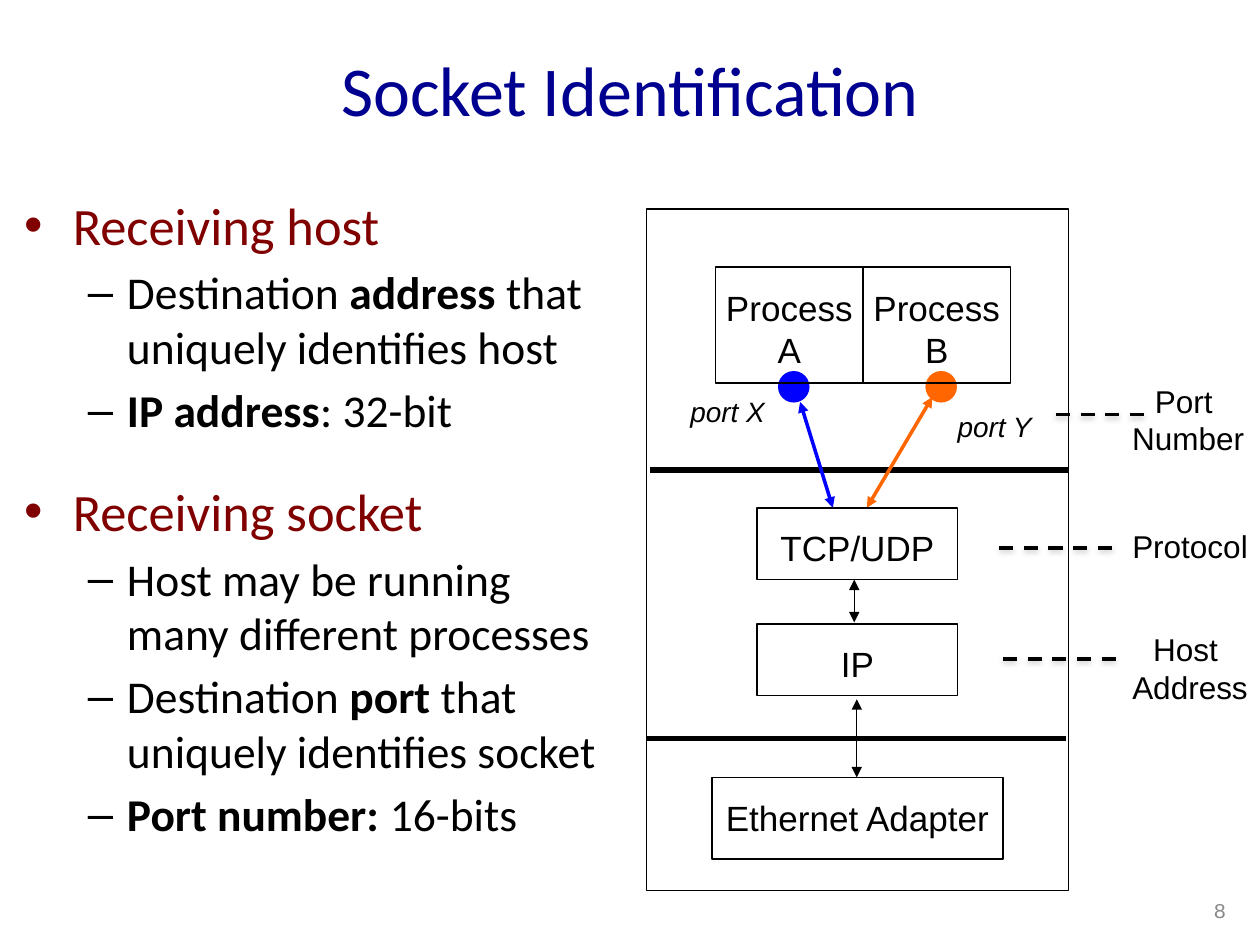
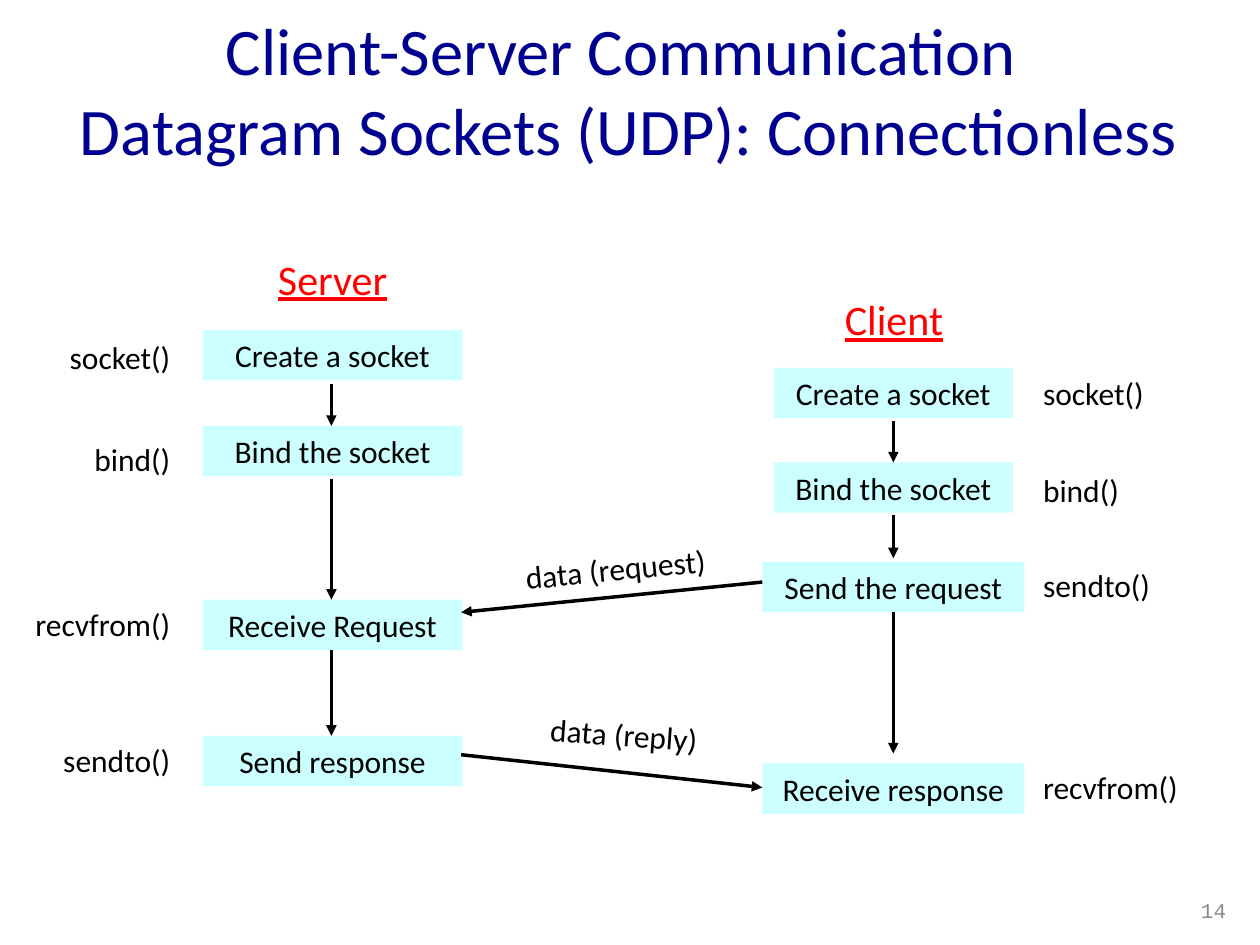
from lxml.etree import SubElement
from pptx import Presentation
from pptx.dml.color import RGBColor
from pptx.enum.dml import MSO_LINE
from pptx.enum.shapes import MSO_CONNECTOR, MSO_SHAPE
from pptx.enum.text import MSO_ANCHOR, PP_ALIGN
from pptx.oxml.ns import qn
from pptx.util import Inches, Pt

HUES = {
    "title": "000090", "topic": "800000", "ink": "000000", "page": "898989",
    "blue": "0000FF", "orange": "FF6600", "step": "CCFFFF", "head": "FF0000",
    "shade": "808080",
}
FACES = {
    "title": {"name": "Calibri", "size": Pt(40)},
    "page": {"name": "Courier New", "size": Pt(12)},
    "topic": {"name": "Calibri", "size": Pt(30)},
    "point": {"name": "Calibri", "size": Pt(26)},
    "layer": {"name": "Arial", "size": Pt(20)},
    "port": {"name": "Arial", "size": Pt(16), "italic": True},
    "side": {"name": "Arial", "size": Pt(18)},
    "head": {"name": "Calibri", "size": Pt(24), "underline": True},
    "step": {"name": "Calibri", "size": Pt(18)},
}
LEFT, MID, RIGHT = PP_ALIGN.LEFT, PP_ALIGN.CENTER, PP_ALIGN.RIGHT
BOX, DOT = MSO_SHAPE.RECTANGLE, MSO_SHAPE.OVAL
BODY = [
    # level, text with *bold* parts, space before, space after
    (0, "Receiving host", 0, 0),
    (1, "Destination *address* that uniquely identifies host", 5, 0),
    (1, "*IP address*: 32-bit", 5, 18),
    (0, "Receiving socket", 6, 0),
    (1, "Host may be running many different processes", 5, 0),
    (1, "Destination *port* that uniquely identifies socket", 5, 0),
    (1, "*Port number: *16-bits", 5, 0),
]


def place(slide, at, text="", face="step", hue="ink", kind=None, fill=None,
          edge=None, width=0.75, align=MID, pad=(0.1, 0.05), wrap=True,
          anchor=MSO_ANCHOR.TOP, size=None):
    """Add a text box, or a preset shape when kind is given."""
    spot = [Inches(v) for v in at]
    if kind is None:
        shape = slide.shapes.add_textbox(*spot)
    else:
        shape = slide.shapes.add_shape(kind, *spot)
        shape.shadow.inherit = False
        if fill:
            shape.fill.solid()
            shape.fill.fore_color.rgb = RGBColor.from_string(HUES[fill])
        else:
            shape.fill.background()
        if edge:
            shape.line.color.rgb = RGBColor.from_string(HUES[edge])
            shape.line.width = Pt(width)
        else:
            shape.line.fill.background()
    frame = shape.text_frame
    look = {
        "word_wrap": wrap, "vertical_anchor": anchor,
        "margin_left": Inches(pad[0]), "margin_right": Inches(pad[0]),
        "margin_top": Inches(pad[1]), "margin_bottom": Inches(pad[1]),
    }
    for key, val in look.items():
        setattr(frame, key, val)
    if text:
        frame.text = text
        for para in frame.paragraphs:
            para.alignment = align
            for run in para.runs:
                for key, val in FACES[face].items():
                    setattr(run.font, key, val)
                if size:
                    run.font.size = Pt(size)
                run.font.color.rgb = RGBColor.from_string(HUES[hue])
    return shape


def link(slide, start, end, hue="ink", width=2.0, ends=("tailEnd",), dash=False):
    """Draw a line; a dashed one carries a soft shadow."""
    line = slide.shapes.add_connector(
        MSO_CONNECTOR.STRAIGHT, *[Inches(v) for v in (*start, *end)])
    line.line.color.rgb = RGBColor.from_string(HUES[hue])
    line.line.width = Pt(width)
    if dash:
        line.line.dash_style = MSO_LINE.DASH
    for end_tag in ends:
        SubElement(line.line._get_or_add_ln(), qn("a:" + end_tag), type="triangle")
    effect = SubElement(line._element.spPr, qn("a:effectLst"))
    if dash:
        shade = SubElement(effect, qn("a:outerShdw"), blurRad=str(Pt(3.1)),
                           dist=str(Pt(1.6)), dir="5400000", rotWithShape="0")
        tint = SubElement(shade, qn("a:srgbClr"), val=HUES["shade"])
        SubElement(tint, qn("a:alpha"), val="38000")


deck = Presentation()
deck.slide_width, deck.slide_height = Inches(10), Inches(7.5)

# Title and page number of each slide
pages = []
for title, left, wide, size, number in [
    ("Socket Identification", 0.5, 9, 40, "8"),
    ("Client-Server Communication \vDatagram Sockets (UDP): Connectionless",
     0.25, 9.48, 38, "14"),
]:
    slide = deck.slides.add_slide(deck.slide_layouts[6])
    place(slide, (left, 0.08, wide, 1.25), title, "title", "title",
          anchor=MSO_ANCHOR.MIDDLE, size=size)
    place(slide, (7.5, 7.02, 2.33, 0.4), number, "page", "page",
          align=RIGHT, anchor=MSO_ANCHOR.MIDDLE)
    pages.append(slide)
ident, comm = pages

# Socket identification: bullets
frame = place(ident, (0.1, 1.48, 4.94, 5.67)).text_frame
for i, (level, text, before, after) in enumerate(BODY):
    para = frame.add_paragraph() if i else frame.paragraphs[0]
    para.level = level
    para.space_before, para.space_after = Pt(before), Pt(after)
    margin, hang, mark = [(0.38, 0.38, "•"), (0.81, 0.31, "–")][level]
    props = para._p.get_or_add_pPr()
    props.set("marL", str(Inches(margin)))
    props.set("indent", str(-Inches(hang)))
    SubElement(props, qn("a:buFont"), typeface="Arial")
    SubElement(props, qn("a:buChar"), char=mark)
    face, hue = [("topic", "topic"), ("point", "ink")][level]
    for j, part in enumerate(text.split("*")):
        if part:
            run = para.add_run()
            run.text = part
            for key, val in {**FACES[face], "bold": j % 2 == 1}.items():
                setattr(run.font, key, val)
            run.font.color.rgb = RGBColor.from_string(HUES[hue])

# Host stack: frame, dividers, ports, layers
place(ident, (5.13, 1.66, 3.35, 5.41), kind=BOX, edge="ink")
for left, right, y in [(5.16, 8.48, 3.73), (5.13, 8.46, 5.86)]:
    link(ident, (left, y), (right, y), width=3, ends=())
both = ("headEnd", "tailEnd")
for hue, left, start, end in [
    ("blue", 6.18, (6.35, 3.19), (6.61, 4.03)),
    ("orange", 7.35, (7.4, 3.15), (6.88, 4.03)),
]:
    place(ident, (left, 2.95, 0.24, 0.24), kind=DOT, fill=hue, edge=hue)
    link(ident, start, end, hue, ends=both)
for text, at in [
    ("Process\nA", (5.68, 2.12, 1.17, 0.92)),
    ("Process\nB", (6.85, 2.12, 1.17, 0.92)),
    ("TCP/UDP", (6.01, 4.03, 1.59, 0.57)),
    ("IP", (6.01, 4.95, 1.59, 0.57)),
    ("Ethernet Adapter", (5.65, 6.17, 2.31, 0.65)),
]:
    place(ident, at, text, "layer", kind=BOX, edge="ink", width=1,
          pad=(0.1, 0.15), wrap=False)
for x, top, base in [(6.78, 4.6, 4.94), (6.8, 5.55, 6.17)]:
    link(ident, (x, top), (x, base), width=0.75, ends=both)
for text, left, top in [("port X", 5.37, 3.07), ("port Y", 7.49, 3.19)]:
    place(ident, (left, top, 0.87, 0.38), text, "port", align=LEFT,
          pad=(0.11, 0.06), wrap=False)
for text, top, wide, high, left, right, y in [
    ("Port \nNumber", 2.98, 1.1, 0.71, 8.38, 9.1, 3.29),
    ("Protocol", 4.13, 1.13, 0.4, 7.93, 8.84, 4.35),
    ("Host \nAddress", 4.95, 1.13, 0.71, 7.96, 8.87, 5.23),
]:
    link(ident, (left, y), (right, y), ends=(), dash=True)
    place(ident, (8.88, top, wide, high), text, "side", wrap=False)

# Datagram exchange: server and client columns
server = [  # step, left, top, width, call, top of call
    ("Create a socket", 1.61, 2.62, 2.06, "socket()", 2.63),
    ("Bind the socket", 1.61, 3.38, 2.06, "bind()", 3.44),
    ("Receive Request", 1.61, 4.76, 2.06, "recvfrom()", 4.75),
    ("Send response", 1.61, 5.84, 2.06, "sendto()", 5.83),
]
client = [
    ("Create a socket", 6.14, 2.92, 1.9, "socket()", 2.92),
    ("Bind the socket", 6.14, 3.67, 1.9, "bind()", 3.69),
    ("Send the request", 6.05, 4.46, 2.08, "sendto()", 4.44),
    ("Receive response", 6.05, 6.06, 2.08, "recvfrom()", 6.05),
]
for head, spot, steps, side, align, x, drops in [
    ("Server", (2.1, 1.96, 1.08, 0.51), server, 0.12, RIGHT, 2.63,
     [(3.05, 3.38), (3.8, 4.76), (5.16, 5.84)]),
    ("Client", (6.6, 2.28, 0.99, 0.51), client, 8.18, LEFT, 7.09,
     [(3.34, 3.67), (4.09, 4.43), (4.86, 5.98)]),
]:
    place(comm, spot, head, "head", "head", wrap=False)
    for step, left, top, wide, call, high in steps:
        place(comm, (left, top, wide, 0.4), step, kind=BOX, fill="step")
        place(comm, (side, high, 1.33, 0.4), call, align=align)
    for top, base in drops:
        link(comm, (x, top), (x, base))
for text, at, turn, start, end in [
    ("data (request)", (4.07, 4.31, 1.66, 0.4), 354.4, (6.05, 4.62), (3.66, 4.86)),
    ("data (reply)", (4.27, 5.63, 1.39, 0.4), 4.1, (3.66, 5.99), (6.05, 6.25)),
]:
    link(comm, start, end)
    place(comm, at, text, align=LEFT, wrap=False).rotation = turn

deck.save("out.pptx")
